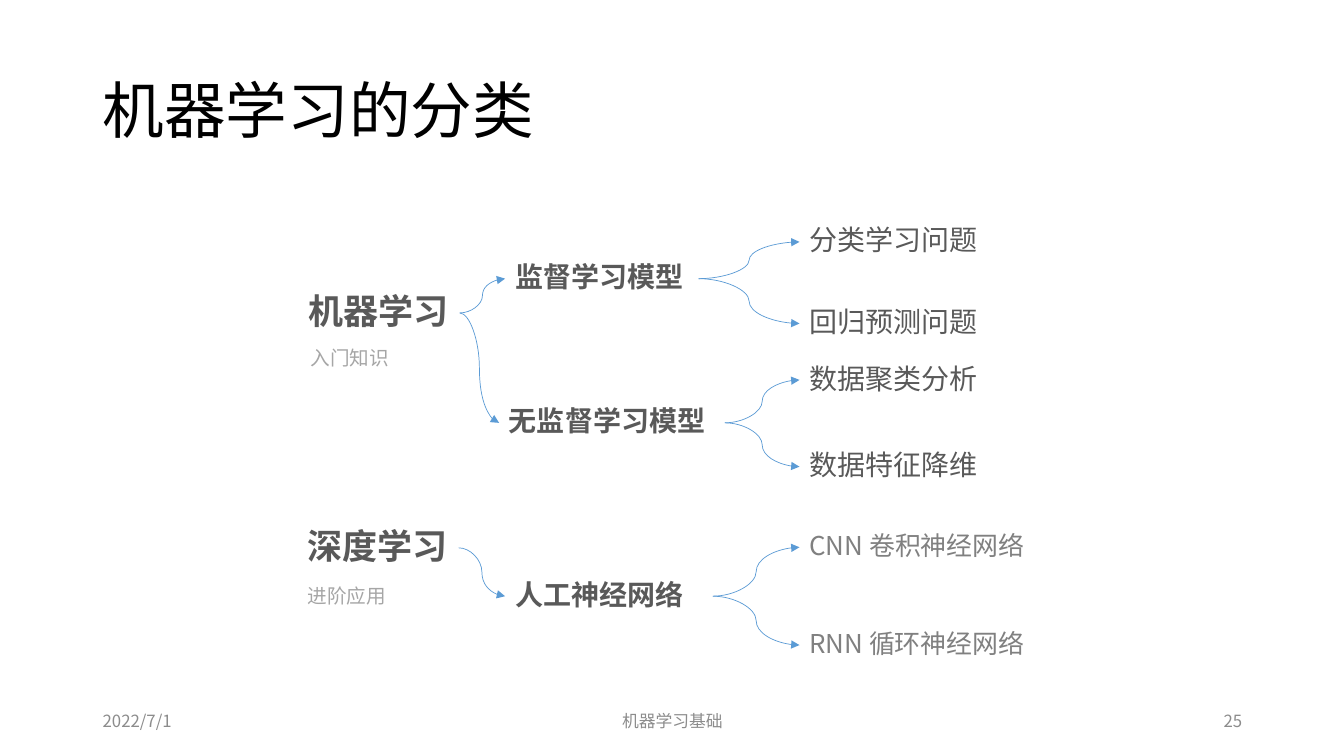
from dataclasses import dataclass

from lxml import etree
from pptx import Presentation
from pptx.dml.color import RGBColor
from pptx.enum.shapes import MSO_CONNECTOR
from pptx.enum.text import MSO_ANCHOR, PP_ALIGN
from pptx.oxml.ns import qn
from pptx.shapes.autoshape import Shape
from pptx.slide import Slide
from pptx.util import Emu, Pt

CURVE = MSO_CONNECTOR.CURVE
MIDDLE = MSO_ANCHOR.MIDDLE
LEFT, CENTER, RIGHT = PP_ALIGN.LEFT, PP_ALIGN.CENTER, PP_ALIGN.RIGHT

EMU_PER_PX = 9144
FONT = "Noto Sans CJK SC"
ARROW_COLOR = "5B9BD5"
LEFT_SITE, RIGHT_SITE = 1, 3


@dataclass(frozen=True)
class Style:
    size: float
    color: str
    bold: bool = False
    align: PP_ALIGN = LEFT
    line_spacing: float = 0.9


@dataclass(frozen=True)
class Label:
    text: str
    left: int
    top: int
    width: int
    height: int
    style: Style


@dataclass(frozen=True)
class Branch:
    parent: str
    children: tuple[str, ...]


TITLE = Style(44, "000000")
FIELD = Style(25, "595959", bold=True)
MODEL = Style(20, "595959", bold=True)
TASK = Style(20, "595959")
NETWORK = Style(18.5, "808080")
NOTE = Style(14, "A6A6A6", align=CENTER)


def footer_style(align: PP_ALIGN) -> Style:
    return Style(12, "8C8C8C", align=align, line_spacing=1.0)


def leaf(text: str, top: int, style: Style) -> Label:
    return Label(text, 793, top, 251, 56, style)


LABELS = (
    Label("机器学习的分类", 92, 40, 1150, 145, TITLE),
    Label("2022/7/1", 92, 695, 300, 40, footer_style(LEFT)),
    Label("机器学习基础", 442, 695, 450, 40, footer_style(CENTER)),
    Label("25", 942, 695, 300, 40, footer_style(RIGHT)),
    Label("机器学习", 296, 268, 160, 85, FIELD),
    Label("深度学习", 295, 501, 160, 85, FIELD),
    Label("监督学习模型", 501, 234, 192, 85, MODEL),
    Label("无监督学习模型", 495, 377, 224, 85, MODEL),
    Label("人工神经网络", 501, 549, 206, 85, MODEL),
    leaf("分类学习问题", 212, TASK),
    leaf("回归预测问题", 293, TASK),
    leaf("数据聚类分析", 349, TASK),
    leaf("数据特征降维", 435, TASK),
    leaf("CNN 卷积神经网络", 515, NETWORK),
    leaf("RNN 循环神经网络", 612, NETWORK),
    Label("入门知识", 292, 336, 110, 41, NOTE),
    Label("进阶应用", 289, 572, 110, 41, NOTE),
)

BRANCHES = (
    Branch("机器学习", ("监督学习模型", "无监督学习模型")),
    Branch("深度学习", ("人工神经网络",)),
    Branch("监督学习模型", ("分类学习问题", "回归预测问题")),
    Branch("无监督学习模型", ("数据聚类分析", "数据特征降维")),
    Branch("人工神经网络", ("CNN 卷积神经网络", "RNN 循环神经网络")),
)


def px(length: int) -> Emu:
    return Emu(length * EMU_PER_PX)


def rgb(color: str) -> RGBColor:
    return RGBColor.from_string(color)


def add_label(page: Slide, label: Label) -> Shape:
    style = label.style
    box = page.shapes.add_textbox(
        px(label.left), px(label.top), px(label.width), px(label.height)
    )
    frame = box.text_frame
    frame.word_wrap = True
    frame.vertical_anchor = MIDDLE
    para = frame.paragraphs[0]
    para.alignment = style.align
    para.line_spacing = style.line_spacing
    span = para.add_run()
    span.text = label.text
    font_values = {"name": FONT, "size": Pt(style.size), "bold": style.bold}
    for name, value in font_values.items():
        setattr(span.font, name, value)
    span.font.color.rgb = rgb(style.color)
    latin = span._r.get_or_add_rPr().find(qn("a:latin"))
    east_asian = etree.Element(qn("a:ea"), typeface=FONT)
    latin.addnext(east_asian)
    return box


def add_arrow(page: Slide, parent: Shape, child: Shape) -> None:
    arrow = page.shapes.add_connector(CURVE, 0, 0, 0, 0)
    arrow.begin_connect(parent, RIGHT_SITE)
    arrow.end_connect(child, LEFT_SITE)
    arrow.line.width = Pt(0.5)
    arrow.line.color.rgb = rgb(ARROW_COLOR)
    etree.SubElement(arrow.line._get_or_add_ln(), qn("a:tailEnd"), type="triangle")
    etree.SubElement(arrow._element.spPr, qn("a:effectLst"))


def main() -> None:
    deck = Presentation()
    deck.slide_width, deck.slide_height = px(1333), px(750)
    page = deck.slides.add_slide(deck.slide_layouts[6])
    boxes = {label.text: add_label(page, label) for label in LABELS}
    for branch in BRANCHES:
        for child in branch.children:
            add_arrow(page, boxes[branch.parent], boxes[child])
    deck.save("out.pptx")


if __name__ == "__main__":
    main()
